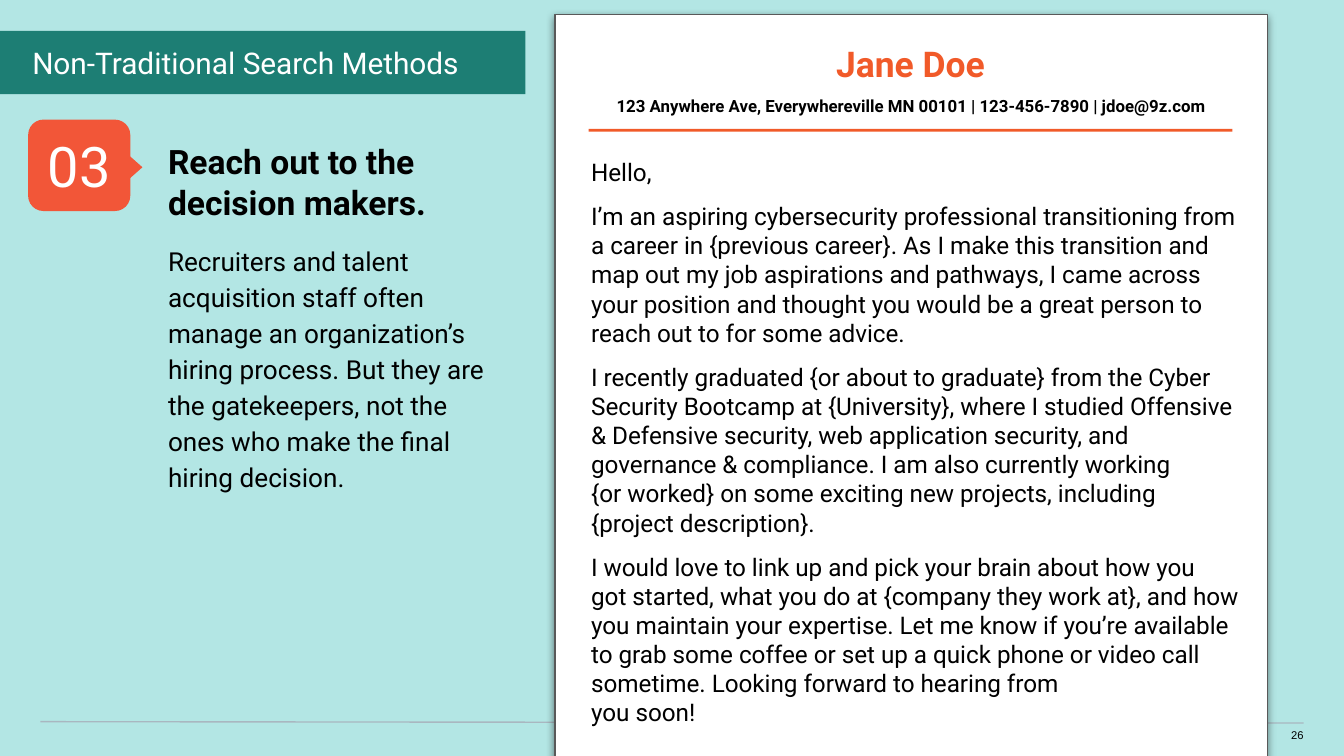
import copy

from lxml import etree
from pptx import Presentation
from pptx import util as u
from pptx.dml.color import RGBColor
from pptx.enum import shapes, text
from pptx.oxml.ns import qn

COLORS = {
    "background": "B3E6E4", "banner": "1D7E74", "badge": "F25638",
    "accent": "F15A29", "rule": "A9B7C0", "border": "595959",
    "white": "FFFFFF", "black": "000000",
}
LEFT, CENTER, RIGHT = text.PP_ALIGN.LEFT, text.PP_ALIGN.CENTER, text.PP_ALIGN.RIGHT
TOP, MIDDLE = text.MSO_ANCHOR.TOP, text.MSO_ANCHOR.MIDDLE

ADVICE = (
    "Recruiters and talent acquisition staff often manage an organization’s "
    "hiring process. But they are the gatekeepers, not the \vones who make the "
    "final \vhiring decision."
)
LETTER = [
    "Hello,",
    "I’m an aspiring cybersecurity professional transitioning from a career in "
    "{previous career}. As I make this transition and map out my job aspirations "
    "and pathways, I came across your position and thought you would be a great "
    "person to reach out to for some advice.",
    "I recently graduated {or about to graduate} from the Cyber Security Bootcamp "
    "at {University}, where I studied Offensive & Defensive security, web "
    "application security, and governance & compliance. I am also currently "
    "working \v{or worked} on some exciting new projects, including "
    "\v{project description}.",
    "I would love to link up and pick your brain about how you \vgot started, what "
    "you do at {company they work at}, and how you maintain your expertise. Let me "
    "know if you’re available to grab some coffee or set up a quick phone or video "
    "call sometime. Looking forward to hearing from \vyou soon!",
]


def rgb(name):
    return RGBColor.from_string(COLORS[name])


def place(shape, left, top, width, height):
    shape.left, shape.top = u.Inches(left), u.Inches(top)
    shape.width, shape.height = u.Inches(width), u.Inches(height)


def set_frame(shape, insets=(0.1, 0.1, 0.1, 0.1), anchor=TOP):
    """Set wrapping, anchor and insets (left, top, right, bottom)."""
    frame = shape.text_frame
    frame.word_wrap = True
    frame.auto_size = text.MSO_AUTO_SIZE.NONE
    frame.vertical_anchor = anchor
    (frame.margin_left, frame.margin_top,
     frame.margin_right, frame.margin_bottom) = map(u.Inches, insets)


def write(shape, content, size, color="black", font="Roboto", bold=False,
          align=LEFT, before=0, after=0, spacing=1.0):
    """Fill the first empty paragraph of a shape, or add one."""
    frame = shape.text_frame
    paragraph = frame.paragraphs[0] if not frame.text else frame.add_paragraph()
    paragraph.text = content
    paragraph.alignment = align
    paragraph.space_before, paragraph.space_after = u.Pt(before), u.Pt(after)
    paragraph.line_spacing = spacing
    for run in paragraph.runs:
        run.font.name, run.font.size, run.font.bold = font, u.Pt(size), bold
        run.font.color.rgb = rgb(color)
    for line_break in paragraph._p.findall(qn("a:br")):
        line_break.append(copy.deepcopy(paragraph.runs[0]._r.rPr))
    return paragraph


def remove_bullet(paragraph):
    properties = paragraph._p.get_or_add_pPr()
    properties.set("marL", "0")
    properties.set("indent", "0")
    etree.SubElement(properties, qn("a:buNone"))


def add_block(parent, kind, box, fill):
    shape = parent.add_shape(kind, *map(u.Inches, box))
    shape.shadow.inherit = False
    shape.fill.solid()
    shape.fill.fore_color.rgb = rgb(fill)
    shape.line.fill.background()
    return shape


def add_label(slide, box, content, size, insets=(0.1, 0.1, 0.1, 0.1), **style):
    label = slide.shapes.add_textbox(*map(u.Inches, box))
    set_frame(label, insets)
    write(label, content, size, **style)
    return label


def add_footer(slide):
    rule = slide.shapes.add_connector(
        shapes.MSO_CONNECTOR.STRAIGHT, *map(u.Inches, (0.3, 5.37, 9.7, 5.38)))
    rule.line.color.rgb = rgb("rule")
    rule.line.width = u.Pt(0.75)
    etree.SubElement(rule._element.spPr, qn("a:effectLst"))
    add_label(slide, (9.41, 5.42, 0.29, 0.12), "26", 6, (0, 0, 0, 0.1),
              font="Arial", align=RIGHT)


def add_banner(slide):
    title = slide.shapes.title
    place(title, -0.01, 0.23, 3.92, 0.47)
    title.fill.solid()
    title.fill.fore_color.rgb = rgb("banner")
    set_frame(title, (0.25, 0.1, 0.1, 0.1), MIDDLE)
    write(title, "Non-Traditional Search Methods", 16, "white")


def add_badge(slide):
    group = slide.shapes.add_group_shape()
    badge = add_block(group.shapes, shapes.MSO_SHAPE.ROUNDED_RECTANGLE,
                      (0.21, 0.89, 0.76, 0.68), "badge")
    set_frame(badge, anchor=MIDDLE)
    write(badge, "03", 30, "white", align=CENTER)
    pointer = add_block(group.shapes, shapes.MSO_SHAPE.FLOWCHART_EXTRACT,
                        (0.77, 1.14, 0.37, 0.21), "badge")
    pointer.rotation = 90


def add_advice(slide):
    body = slide.placeholders[1]
    place(body, 1.25, 0.95, 2.75, 3.02)
    set_frame(body, (0, 0.1, 0.1, 0.1))
    remove_bullet(write(body, "Reach out to the decision makers.", 18, bold=True))
    remove_bullet(write(body, ADVICE, 14, before=10, after=8, spacing=1.15))


def add_paper(slide):
    paper = add_block(slide.shapes, shapes.MSO_SHAPE.RECTANGLE,
                      (4.13, 0.11, 5.3, 5.7), "white")
    paper.line.color.rgb = rgb("border")
    paper.line.width = u.Pt(0.75)
    effects = paper._element.spPr.find(qn("a:effectLst"))
    shadow = etree.SubElement(
        effects, qn("a:outerShdw"), blurRad=str(u.Pt(4.5)), dist=str(u.Pt(1.5)),
        dir="5400000", algn="bl", rotWithShape="0")
    color = etree.SubElement(shadow, qn("a:srgbClr"), val=COLORS["black"])
    etree.SubElement(color, qn("a:alpha"), val="50000")


def add_letter(slide):
    add_paper(slide)
    add_label(slide, (4.3, 0.61, 4.95, 0.4),
              "123 Anywhere Ave, Everywhereville MN 00101 | 123-456-7890 | jdoe@9z.com",
              9, bold=True, align=CENTER)
    greeting, *paragraphs = LETTER
    letter = add_label(slide, (4.3, 1.07, 5.02, 4.52), greeting, 13)
    for content in paragraphs:
        is_last = content == paragraphs[-1]
        write(letter, content, 13, before=8, after=8 if is_last else 0)
    add_block(slide.shapes, shapes.MSO_SHAPE.RECTANGLE,
              (4.38, 0.96, 4.79, 0.02), "accent")
    add_label(slide, (4.38, 0.21, 4.79, 0.47), "Jane Doe", 19,
              color="accent", bold=True, align=CENTER)


def main():
    presentation = Presentation()
    presentation.slide_width = u.Inches(10)
    presentation.slide_height = presentation.slide_width * 9 // 16
    slide = presentation.slides.add_slide(presentation.slide_layouts[1])
    slide.background.fill.solid()
    slide.background.fill.fore_color.rgb = rgb("background")
    add_footer(slide)
    add_banner(slide)
    add_badge(slide)
    add_advice(slide)
    add_letter(slide)
    presentation.save("out.pptx")


if __name__ == "__main__":
    main()
